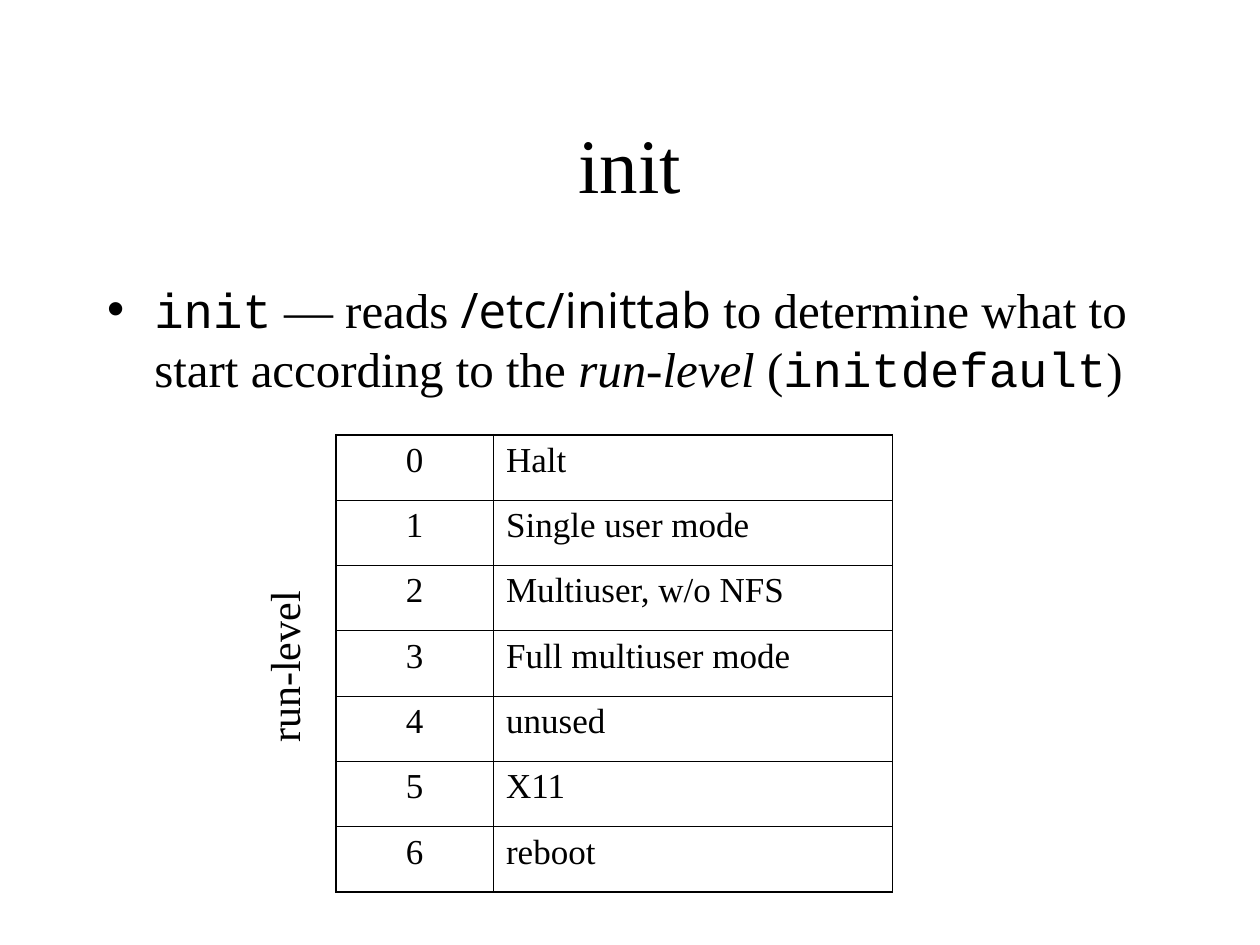
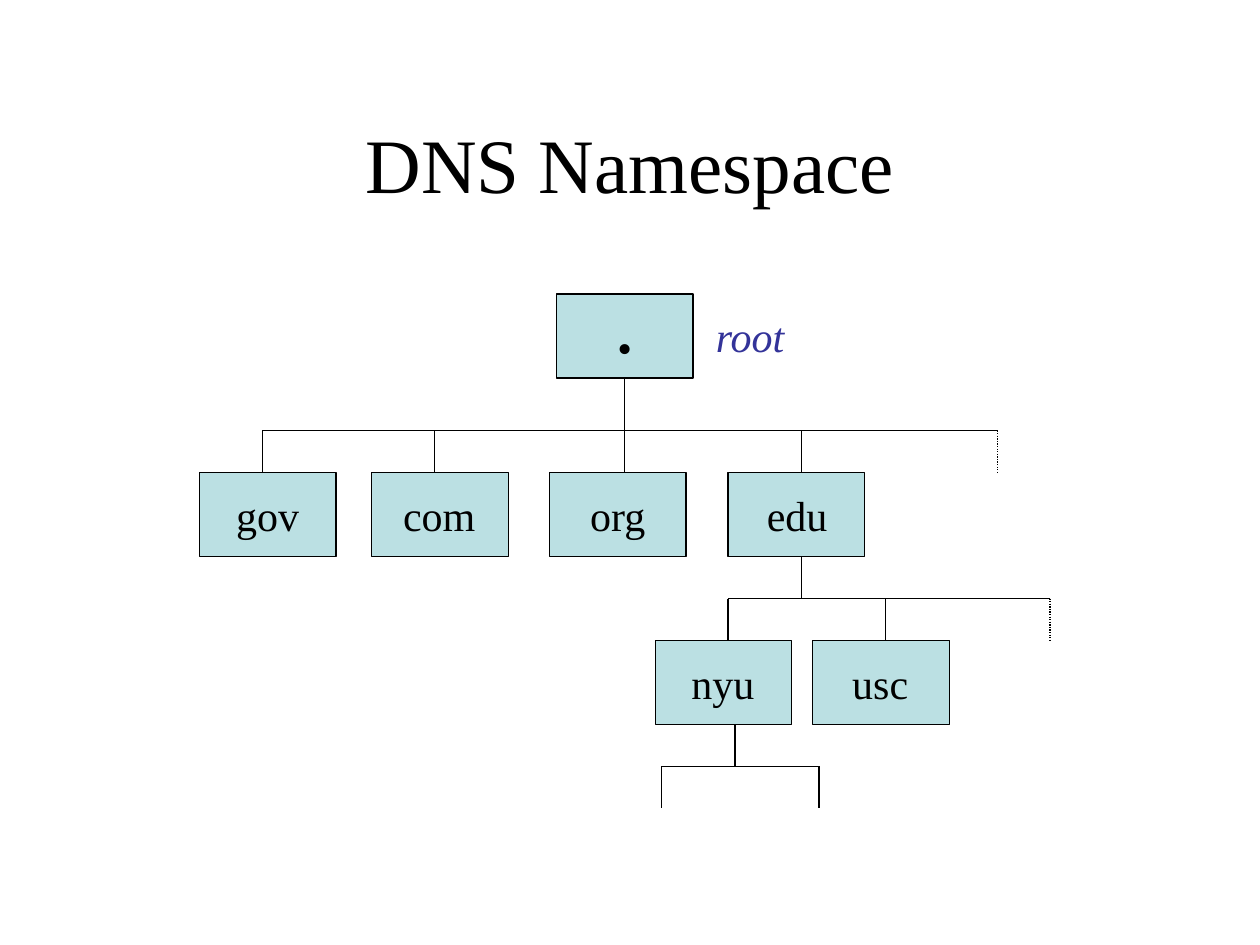
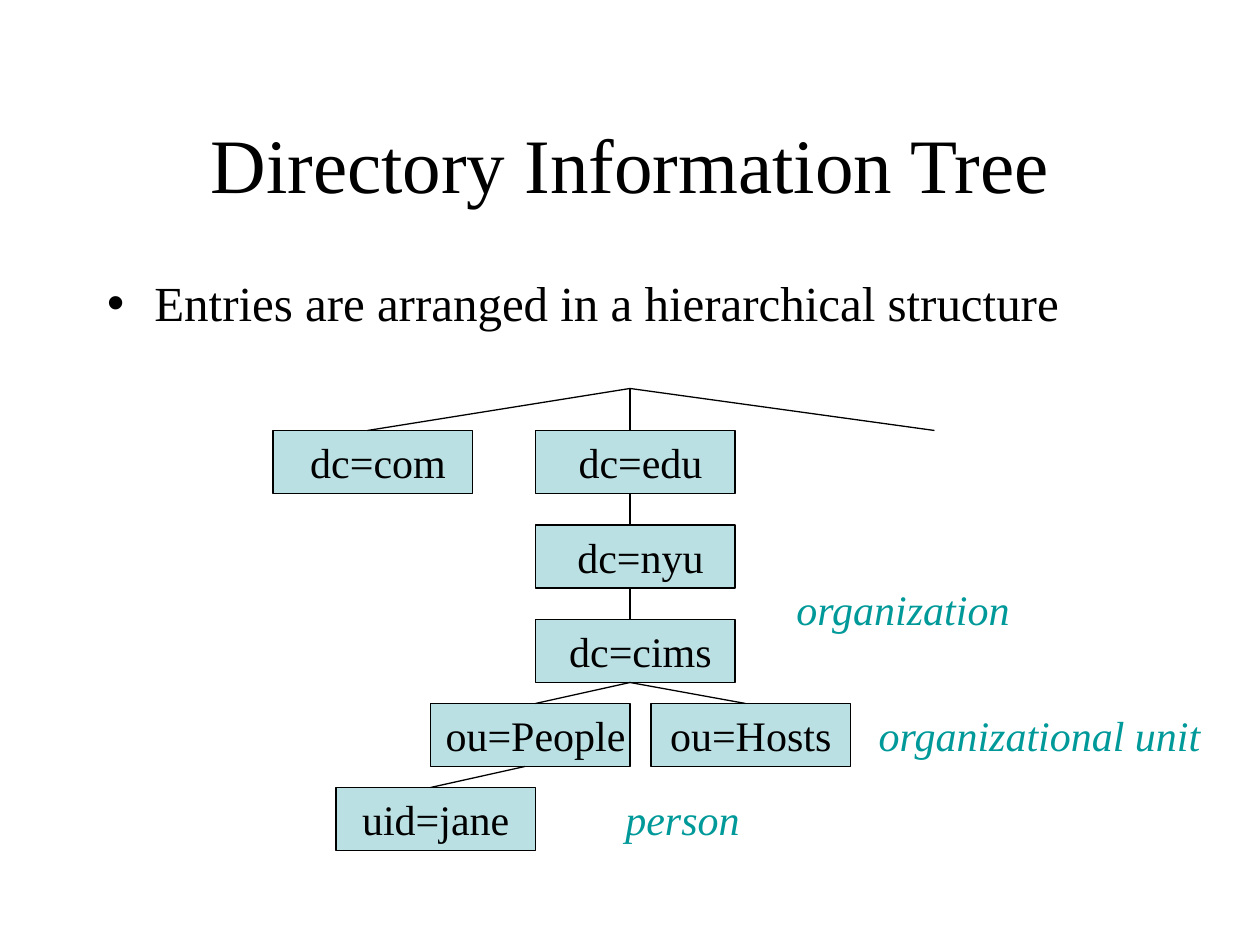
"""Build three slides on init run-levels, the DNS namespace and the directory tree."""
from lxml.etree import SubElement
from pptx import Presentation
from pptx.dml.color import RGBColor
from pptx.enum.dml import MSO_LINE
from pptx.enum.shapes import MSO_CONNECTOR, MSO_SHAPE
from pptx.enum.text import MSO_ANCHOR, MSO_AUTO_SIZE, PP_ALIGN
from pptx.oxml.ns import qn
from pptx.util import Pt

SERIF, MONO, SANS = "Times New Roman", "Courier New", "Open Sans"
BLACK, PALE, INDIGO, TEAL = "000000", "BBE0E3", "333399", "009999"
LEFT, CENTER = PP_ALIGN.LEFT, PP_ALIGN.CENTER
rgb = RGBColor.from_string


def write(paragraph, text, size, font=SERIF, color=BLACK, italic=False):
    run = paragraph.add_run()
    run.text = text
    run.font.name = font
    run.font.size = Pt(size)
    run.font.italic = italic
    run.font.color.rgb = rgb(color)


def place(shape, left, top, width, height):
    shape.left, shape.top = Pt(left), Pt(top)
    shape.width, shape.height = Pt(width), Pt(height)


deck = Presentation()
deck.slide_width, deck.slide_height = Pt(720), Pt(540)

init_text = [
    ("init", MONO, False), (" — reads ", SERIF, False), ("/etc/inittab", SANS, False),
    (" to determine what to start according to the ", SERIF, False),
    ("run-level", SERIF, True), (" (", SERIF, False),
    ("initdefault", MONO, False), (")", SERIF, False),
]
entries_text = [("Entries are arranged in a hierarchical structure", SERIF, False)]

slides = []
for heading, bullet, bullet_height, spacing in [
    ("init", init_text, 324, 1),
    ("DNS Namespace", None, 0, 1),
    ("Directory Information Tree", entries_text, 66, 0.9),
]:
    slide = deck.slides.add_slide(deck.slide_layouts[1 if bullet else 5])
    slides.append(slide)
    title = slide.shapes.title
    place(title, 54, 48, 612, 90)
    title.text_frame.vertical_anchor = MSO_ANCHOR.MIDDLE
    title.text_frame.auto_size = MSO_AUTO_SIZE.NONE
    title.text_frame.paragraphs[0].alignment = CENTER
    write(title.text_frame.paragraphs[0], heading, 44)
    if bullet:
        body = slide.placeholders[1]
        place(body, 54, 156, 612, bullet_height)
        body.text_frame.auto_size = MSO_AUTO_SIZE.NONE
        point = body.text_frame.paragraphs[0]
        point.space_before = Pt(7)
        point.line_spacing = spacing
        for words, font, italic in bullet:
            write(point, words, 28, font, italic=italic)
init, dns, directory = slides

modes = ["Halt", "Single user mode", "Multiuser, w/o NFS", "Full multiuser mode",
         "unused", "X11", "reboot"]
levels = init.shapes.add_table(len(modes), 2, Pt(192), Pt(248.4), Pt(318), Pt(261.45)).table
levels.first_row = levels.horz_banding = False
levels.columns[0].width, levels.columns[1].width = Pt(90), Pt(228)
for level, mode in enumerate(modes):
    levels.rows[level].height = Pt(37.35)
    for column, (words, align) in enumerate([(str(level), CENTER), (mode, LEFT)]):
        cell = levels.cell(level, column)
        entry = cell.text_frame.paragraphs[0]
        entry.alignment = align
        entry.space_before = Pt(5)
        write(entry, words, 20)
        outer_sides = {"a:lnL": column == 0, "a:lnR": column == 1,
                       "a:lnT": level == 0, "a:lnB": level == len(modes) - 1}
        for side, outer in outer_sides.items():
            border = SubElement(cell._tc.get_or_add_tcPr(), qn(side),
                                w=str(Pt(1.08 if outer else 0.45)))
            SubElement(SubElement(border, qn("a:solidFill")), qn("a:srgbClr"), val=BLACK)
        cell.fill.background()

dns_boxes = [(318, 168), (114, 270), (212.5, 270), (314, 270), (416, 270),
             (374.5, 366), (464.5, 366)]
dns_labels = [
    ("•", 330, 180, 54, BLACK, CENTER, 0), ("gov", 120, 276, 66, BLACK, CENTER, 0),
    ("com", 218, 276, 66, BLACK, CENTER, 0), ("org", 326, 276, 54, BLACK, CENTER, 0),
    ("edu", 428.5, 276, 54, BLACK, CENTER, 0), ("nyu", 386, 372, 54, BLACK, CENTER, 0),
    ("usc", 476, 372, 54, BLACK, CENTER, 0), ("root", 402, 174, 66, INDIGO, LEFT, 0),
]
dns_lines = []
for stem, stem_top, stem_bottom, bar, ticks, open_tick in [
    (357, 216, 270, 246, (150, 248.5, 458, 570), 570),
    (458, 318, 342, 342, (416, 506, 600), 600),
    (420, 414, 438, 438, (378, 468), None),
]:
    dns_lines.append((stem, stem_top, stem, stem_bottom, False))
    dns_lines.append((ticks[0], bar, ticks[-1], bar, False))
    dns_lines += [(tick, bar, tick, bar + 24, tick == open_tick) for tick in ticks]

directory_boxes = [(156, 246), (306, 246), (306, 300), (306, 354),
                   (246, 402), (372, 402), (192, 450)]
directory_labels = [
    ("dc=com", 168, 246, 96, BLACK, CENTER, 0), ("dc=edu", 318, 246, 96, BLACK, CENTER, 0),
    ("dc=nyu", 318, 300, 96, BLACK, CENTER, 0), ("dc=cims", 318, 354, 96, BLACK, CENTER, 0),
    ("ou=People", 240, 402, 132, BLACK, CENTER, 0),
    ("ou=Hosts", 372, 402, 114, BLACK, CENTER, 0),
    ("uid=jane", 198, 450, 102, BLACK, CENTER, 0),
    ("organization", 438, 330, 156, TEAL, CENTER, 0),
    ("organizational unit", 492, 402, 204, TEAL, CENTER, 0),
    ("person", 312, 450, 156, TEAL, CENTER, 0),
]
directory_lines = [
    (360, 222, 210, 246, False), (360, 222, 360, 246, False), (360, 222, 534, 246, False),
    (360, 282, 360, 300, False), (360, 336, 360, 354, False),
    (360, 390, 306, 402, False), (360, 390, 426, 402, False), (300, 438, 246, 450, False),
]
init_labels = [("run-level", 102, 353.5, 120, BLACK, LEFT, 270)]

for slide, boxes, box_width, box_height, labels, lines in [
    (init, [], 0, 0, init_labels, []),
    (dns, dns_boxes, 78, 48, dns_labels, dns_lines),
    (directory, directory_boxes, 114, 36, directory_labels, directory_lines),
]:
    nodes = []
    for left, top in boxes:
        node = slide.shapes.add_shape(MSO_SHAPE.RECTANGLE, Pt(left), Pt(top),
                                      Pt(box_width), Pt(box_height))
        node.shadow.inherit = False
        node.fill.solid()
        node.fill.fore_color.rgb = rgb(PALE)
        node.line.color.rgb = rgb(BLACK)
        node.line.width = Pt(0.75)
        nodes.append(node)
    for words, left, top, width, color, align, turn in labels:
        label = slide.shapes.add_textbox(Pt(left), Pt(top), Pt(width), Pt(36))
        label.rotation = turn
        label.text_frame.word_wrap = True
        label.text_frame.auto_size = MSO_AUTO_SIZE.SHAPE_TO_FIT_TEXT
        caption = label.text_frame.paragraphs[0]
        caption.alignment = align
        caption.space_before = Pt(15)
        write(caption, words, 24, color=color, italic=color != BLACK)
    for x1, y1, x2, y2, dotted in lines:
        branch = slide.shapes.add_connector(MSO_CONNECTOR.STRAIGHT,
                                            Pt(x1), Pt(y1), Pt(x2), Pt(y2))
        branch.line.color.rgb = rgb(BLACK)
        branch.line.width = Pt(0.75)
        if dotted:
            branch.line.dash_style = MSO_LINE.ROUND_DOT
        SubElement(branch._element.spPr, qn("a:effectLst"))
        for node in nodes:
            if (node.left + node.width // 2, node.top + node.height) == (Pt(x1), Pt(y1)):
                branch.begin_connect(node, 2)

deck.save("out.pptx")
